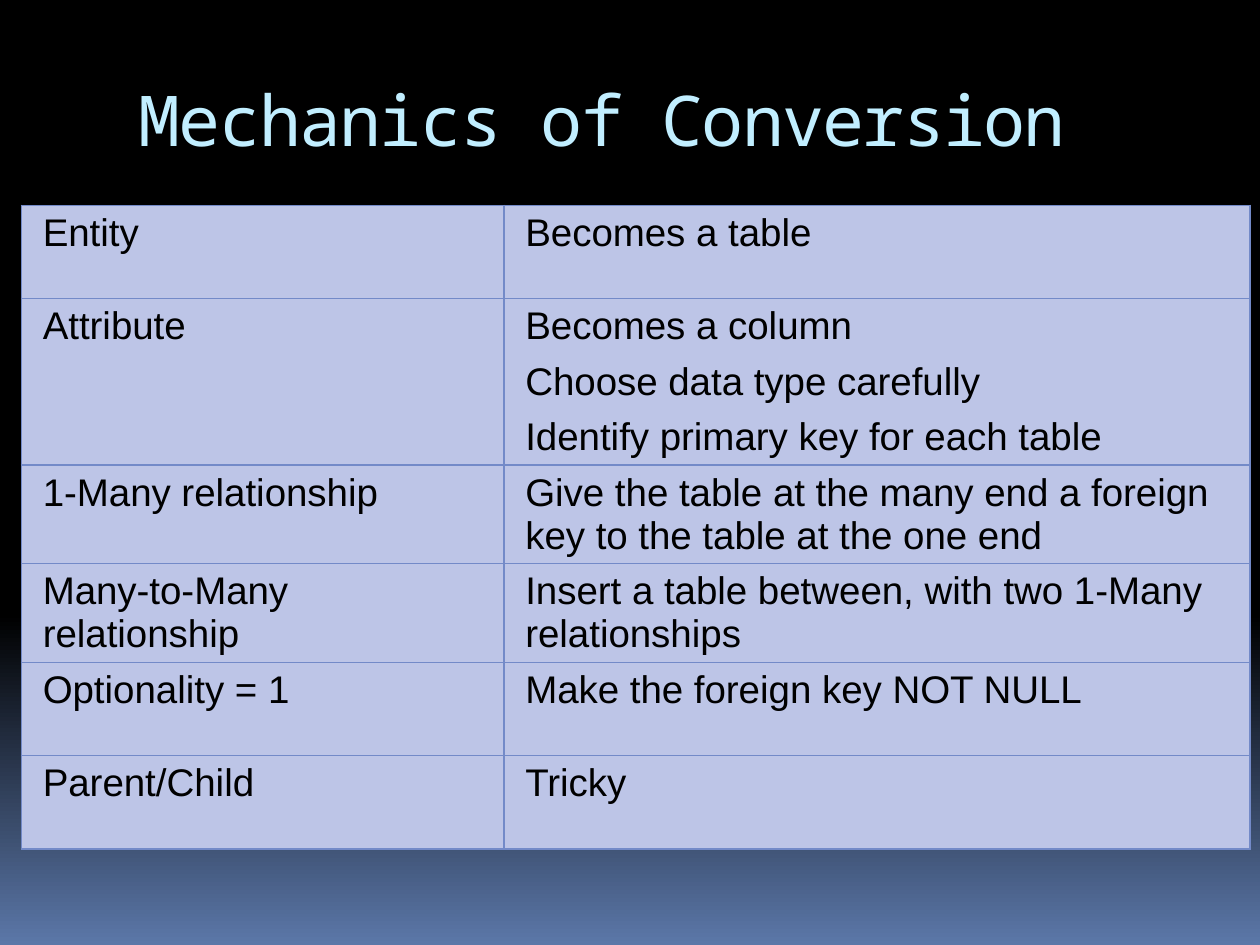
from lxml import etree
from pptx import Presentation
from pptx.dml.color import RGBColor
from pptx.enum.shapes import MSO_SHAPE
from pptx.enum.text import MSO_ANCHOR, PP_ALIGN
from pptx.oxml.ns import qn
from pptx.util import Pt

RECTANGLE = MSO_SHAPE.RECTANGLE
TOP = MSO_ANCHOR.TOP
LEFT = PP_ALIGN.LEFT

TITLE_ONLY = 5
COLORS = {
    "black": "000000",
    "horizon": "5B77A8",
    "title": "C1EEFF",
    "cell": "BDC5E7",
    "border": "738AC8",
}
# Left edge and width of each bar beside the title
ACCENT_BARS = [(24.48, 3.6), (20.88, 2.16), (19.44, 0.72), (17.28, 0.72)]
COLUMN_WIDTHS = [275.76, 426.24]
ROW_HEIGHT = 53.28
ATTRIBUTE_ROW_HEIGHT = 86.4

CONVERSIONS = [
    ("Entity", ["Becomes a table"]),
    ("Attribute", ["Becomes a column", "Choose data type carefully",
                   "Identify primary key for each table"]),
    ("1-Many relationship",
     ["Give the table at the many end a foreign key to the table at the one end"]),
    ("Many-to-Many relationship",
     ["Insert a table between, with two 1-Many relationships"]),
    ("Optionality = 1", ["Make the foreign key NOT NULL"]),
    ("Parent/Child", ["Tricky"]),
]


def color(name):
    return RGBColor.from_string(COLORS[name])


def add_run(paragraph, text, font_name, size, color_name):
    run = paragraph.add_run()
    run.text = text
    run.font.name = font_name
    run.font.size = Pt(size)
    run.font.color.rgb = color(color_name)
    return run


def paint_background(slide):
    fill = slide.background.fill
    fill.gradient()
    fill.gradient_angle = 270
    for stop, (position, name) in zip(fill.gradient_stops,
                                      [(0.65, "black"), (1, "horizon")]):
        stop.position = position
        stop.color.rgb = color(name)


def add_accent_bar(slide, left, width):
    bar = slide.shapes.add_shape(RECTANGLE, Pt(left), Pt(53.28), Pt(width), Pt(28.8))
    bar.shadow.inherit = False
    bar.fill.solid()
    bar.fill.fore_color.rgb = color("black")
    bar.line.fill.background()


def add_title(slide, text):
    title = slide.shapes.title
    title.left, title.top, title.width, title.height = Pt(72), Pt(40.32), Pt(612), Pt(72)
    frame = title.text_frame
    frame.word_wrap = True
    frame.vertical_anchor = TOP
    paragraph = frame.paragraphs[0]
    paragraph.alignment = LEFT
    run = add_run(paragraph, text, "Noto Sans Mono", 40, "title")
    run.font._element.set("spc", "-100")


def add_borders(cell):
    properties = cell._tc.get_or_add_tcPr()
    for position, side in enumerate(("a:lnL", "a:lnR", "a:lnT", "a:lnB")):
        line = etree.Element(qn(side), w=str(Pt(0.94)))
        fill = etree.SubElement(line, qn("a:solidFill"))
        etree.SubElement(fill, qn("a:srgbClr"), val=COLORS["border"])
        properties.insert(position, line)


def fill_cell(cell, lines):
    cell.fill.solid()
    cell.fill.fore_color.rgb = color("cell")
    add_borders(cell)
    frame = cell.text_frame
    for index, line in enumerate(lines):
        paragraph = frame.add_paragraph() if index else frame.paragraphs[0]
        if index:
            paragraph.space_before = Pt(7)
        properties = paragraph._p.get_or_add_pPr()
        properties.set("marL", str(Pt(5)))
        properties.set("indent", "0")
        add_run(paragraph, line, "Arial", 22, "black")


def add_conversion_table(slide, conversions):
    heights = [ATTRIBUTE_ROW_HEIGHT if len(outcome) > 1 else ROW_HEIGHT
               for _, outcome in conversions]
    table = slide.shapes.add_table(
        len(conversions), len(COLUMN_WIDTHS), Pt(12.24), Pt(117.36),
        Pt(sum(COLUMN_WIDTHS)), Pt(sum(heights))).table
    table.first_row = False
    table.horz_banding = False
    for column, width in zip(table.columns, COLUMN_WIDTHS):
        column.width = Pt(width)
    for row, height, (concept, outcome) in zip(table.rows, heights, conversions):
        row.height = Pt(height)
        fill_cell(row.cells[0], [concept])
        fill_cell(row.cells[1], outcome)


def main():
    presentation = Presentation()
    presentation.slide_width, presentation.slide_height = Pt(720), Pt(540)
    slide = presentation.slides.add_slide(presentation.slide_layouts[TITLE_ONLY])

    # Night sky behind the content
    paint_background(slide)
    # Heading with its accent bars
    for left, width in ACCENT_BARS:
        add_accent_bar(slide, left, width)
    add_title(slide, "Mechanics of Conversion")
    # Model concepts and what they become
    add_conversion_table(slide, CONVERSIONS)

    presentation.save("out.pptx")


if __name__ == "__main__":
    main()
